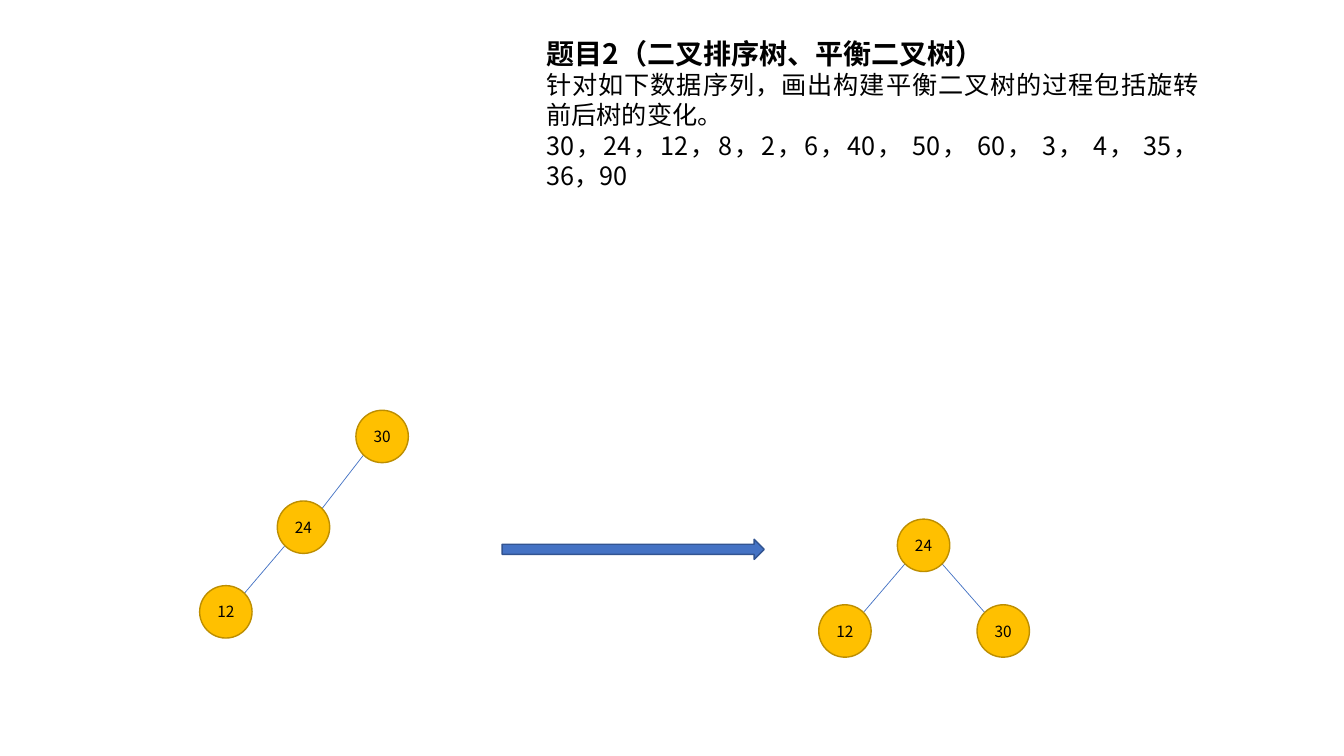
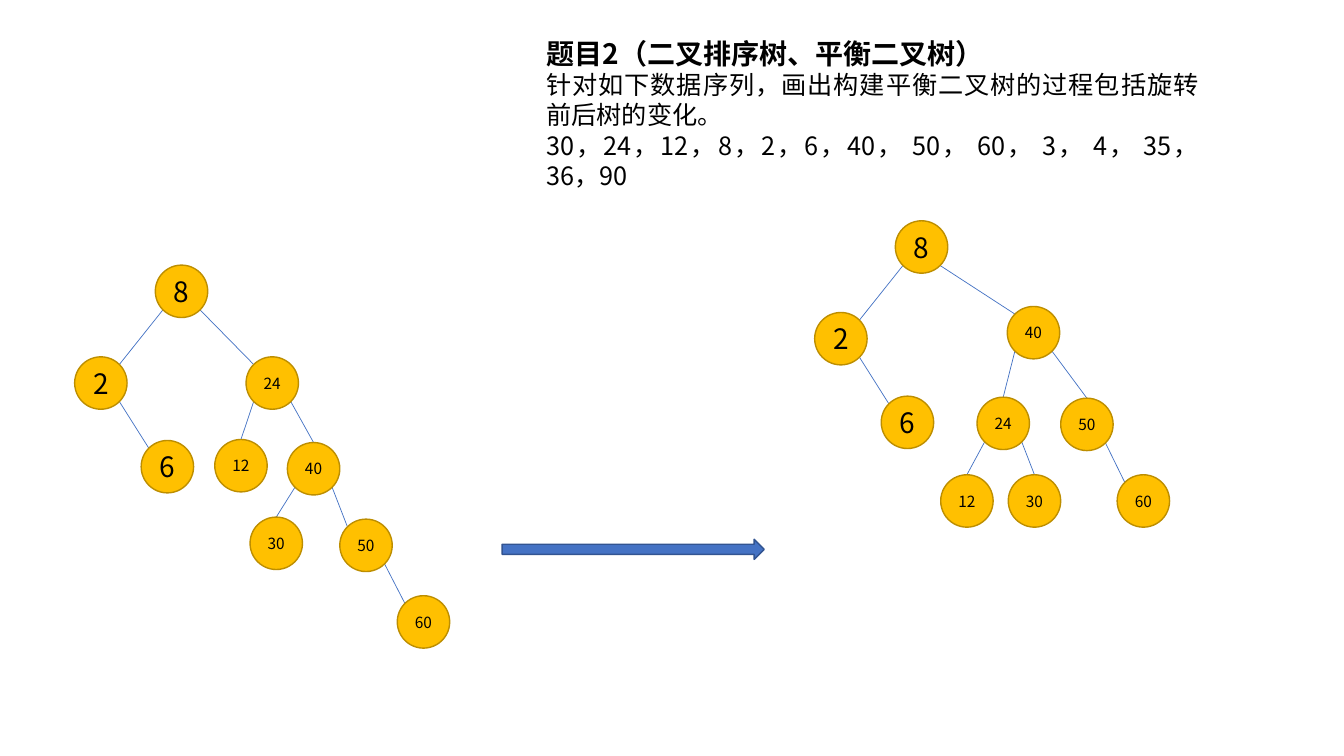
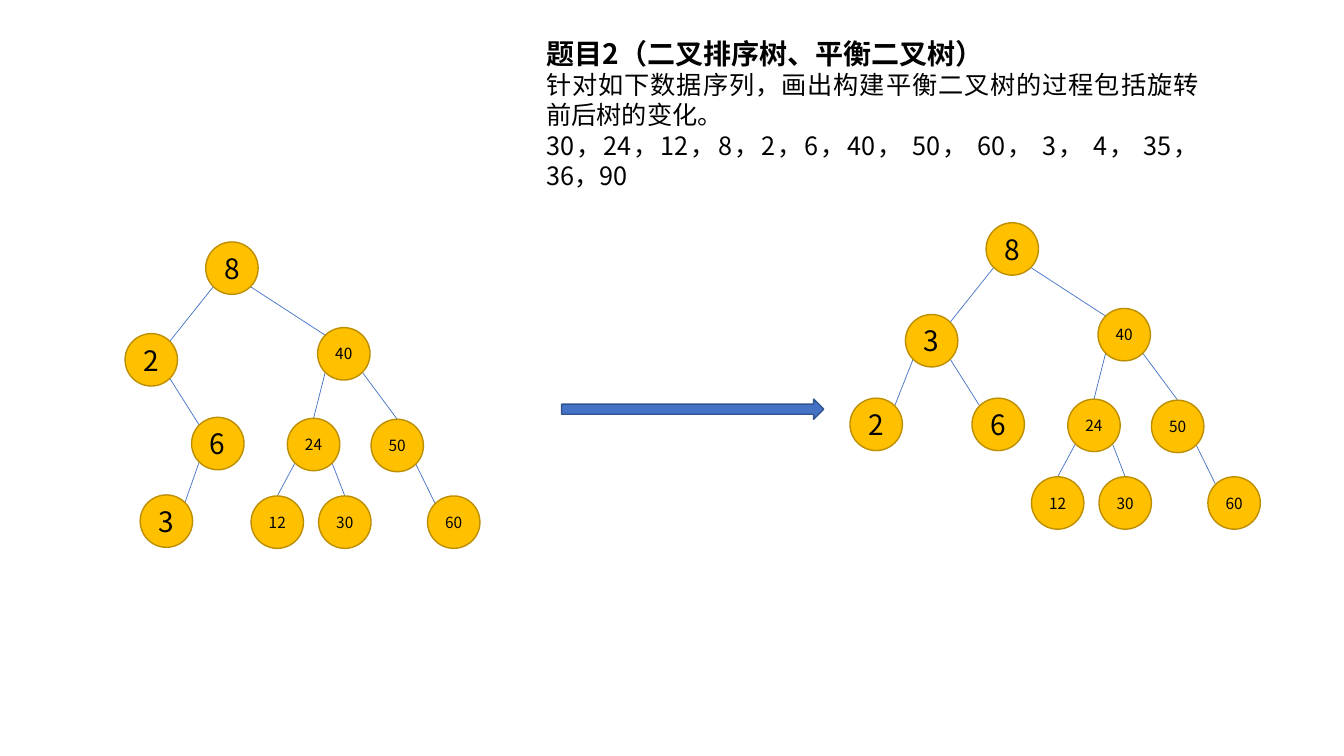
from lxml import etree
from pptx import Presentation
from pptx.dml.color import RGBColor
from pptx.enum.shapes import MSO_CONNECTOR, MSO_SHAPE
from pptx.enum.text import MSO_ANCHOR, MSO_AUTO_SIZE, PP_ALIGN
from pptx.oxml.ns import qn
from pptx.util import Inches, Pt

LINE = MSO_CONNECTOR.STRAIGHT
OVAL, ARROW = MSO_SHAPE.OVAL, MSO_SHAPE.RIGHT_ARROW
TOP, MIDDLE = MSO_ANCHOR.TOP, MSO_ANCHOR.MIDDLE
CENTER, JUSTIFY = PP_ALIGN.CENTER, PP_ALIGN.JUSTIFY
NO_FIT = MSO_AUTO_SIZE.NONE

FACE = "Noto Sans CJK SC"
INK, GOLD, RIM, BLUE, NAVY = "000000", "FFC000", "BD8E00", "4472C4", "325491"
NODE = 0.52           # diameter of a node
SITE = NODE * 0.354   # centre to a diagonal point on the rim, along each axis
STEEP = 0.62          # steeper edges end at the top of the child

TITLE = "题目2（二叉排序树、平衡二叉树）"
TASK = (
    "针对如下数据序列，画出构建平衡二叉树的过程包括旋转前后树的变化。",
    "30，24，12，8，2，6，40， 50， 60， 3， 4， 35， 36，90",
)

# Each node: key, parent, then offset from the root
LEAN = [(30, None, 0, 0), (24, 30, -0.78, 0.9), (12, 24, -1.55, 1.74)]
EVEN = [(24, None, 0, 0), (12, 24, -0.78, 0.85), (30, 24, 0.79, 0.85)]
ROOT = [(8, None, 0, 0)]
TWO_SIX = [(2, 8, -0.8, 0.91), (6, 2, -0.14, 1.74)]
THREE = [(3, 6, -0.65, 2.51)]
TURNED = [(3, 8, -0.8, 0.91), (6, 3, -0.14, 1.74), (2, 3, -1.35, 1.74)]
HEAVY = [
    (24, 8, 0.9, 0.91), (12, 24, 0.59, 1.73), (40, 24, 1.31, 1.76),
    (30, 40, 0.94, 2.5), (50, 40, 1.83, 2.52), (60, 50, 2.4, 3.28),
]
FORTY = [
    (40, 8, 1.11, 0.85), (24, 40, 0.81, 1.75), (50, 40, 1.64, 1.76),
    (12, 24, 0.45, 2.52), (30, 24, 1.12, 2.52), (60, 50, 2.2, 2.52),
]

# Each slide: arrow corner, then root corner and nodes of both trees
STEPS = [
    ((4.98, 5.35), (3.53, 4.07, LEAN), (8.9, 5.15, EVEN)),
    ((4.98, 5.35), (1.54, 2.63, ROOT + TWO_SIX + HEAVY),
     (8.88, 2.19, ROOT + TWO_SIX + FORTY)),
    ((5.57, 3.96), (2.04, 2.4, ROOT + TWO_SIX + THREE + FORTY),
     (9.78, 2.21, ROOT + TURNED + FORTY)),
]


def color(code):
    return RGBColor.from_string(code)


def style(para, size, align, bold=False):
    para.alignment = align
    font = para.font
    font.size, font.bold, font.name = Pt(size), bold, FACE
    font.color.rgb = color(INK)
    etree.SubElement(font._element, qn("a:ea"), typeface=FACE)


def place(shape, left, top, width, height):
    shape.left, shape.top = Inches(left), Inches(top)
    shape.width, shape.height = Inches(width), Inches(height)


def write(shape, lines, size, bold=False):
    """Fill a top-anchored, justified block with one paragraph per line."""
    frame = shape.text_frame
    frame.word_wrap, frame.auto_size = True, NO_FIT
    frame.vertical_anchor = TOP
    frame.text = "\n".join(lines)
    for para in frame.paragraphs:
        style(para, size, JUSTIFY, bold)
        para.line_spacing = Pt(size * 1.2)


def heading(slide, left, top, width):
    title = slide.shapes.title
    place(title, left, top, width, 0.43)
    write(title, [TITLE], 20, True)
    task = slide.shapes.add_textbox(0, 0, 0, 0)
    place(task, left, top + 0.33, width, 1.32)
    write(task, TASK, 18)


def solid(slide, kind, box, fill, edge):
    shape = slide.shapes.add_shape(kind, *map(Inches, box))
    shape.shadow.inherit = False
    shape.fill.solid()
    shape.fill.fore_color.rgb = color(fill)
    shape.line.color.rgb = color(edge)
    shape.line.width = Pt(1)
    return shape


def node(slide, key, x, y):
    """Draw a node centred on x, y."""
    box = (x - NODE / 2, y - NODE / 2, NODE, NODE)
    frame = solid(slide, OVAL, box, GOLD, RIM).text_frame
    frame.margin_left = frame.margin_right = 0
    frame.margin_top = frame.margin_bottom = 0
    frame.word_wrap, frame.vertical_anchor = False, MIDDLE
    frame.text = str(key)
    style(frame.paragraphs[0], 20 if key < 10 else 11, CENTER)


def edge(slide, start, end):
    """Join the rims of a parent and a child, given their centres."""
    (x1, y1), (x2, y2) = start, end
    side = SITE if x2 > x1 else -SITE
    if abs(x2 - x1) < STEEP * (y2 - y1):
        tip = (x2, y2 - NODE / 2)
    else:
        tip = (x2 - side, y2 - SITE)
    line = slide.shapes.add_connector(
        LINE, *map(Inches, (x1 + side, y1 + SITE, *tip)))
    line.line.color.rgb = color(BLUE)
    line.line.width = Pt(0.5)
    etree.SubElement(line._element.spPr, qn("a:effectLst"))


def tree(slide, left, top, nodes):
    """Draw a tree whose root has its box corner at left, top."""
    spots = {key: (left + dx + NODE / 2, top + dy + NODE / 2)
             for key, _, dx, dy in nodes}
    for key, parent, _, _ in nodes:
        if parent is not None:
            edge(slide, spots[parent], spots[key])
    for key, spot in spots.items():
        node(slide, key, *spot)


def step(deck, arrow, before, after):
    slide = deck.slides.add_slide(deck.slide_layouts[5])
    heading(slide, 5.32, 0.31, 6.67)
    tree(slide, *before)
    solid(slide, ARROW, (*arrow, 2.6, 0.2), BLUE, NAVY)
    tree(slide, *after)


def main():
    deck = Presentation()
    deck.slide_width, deck.slide_height = Inches(13.33), Inches(7.5)
    for parts in STEPS:
        step(deck, *parts)
    deck.save("out.pptx")


if __name__ == "__main__":
    main()
